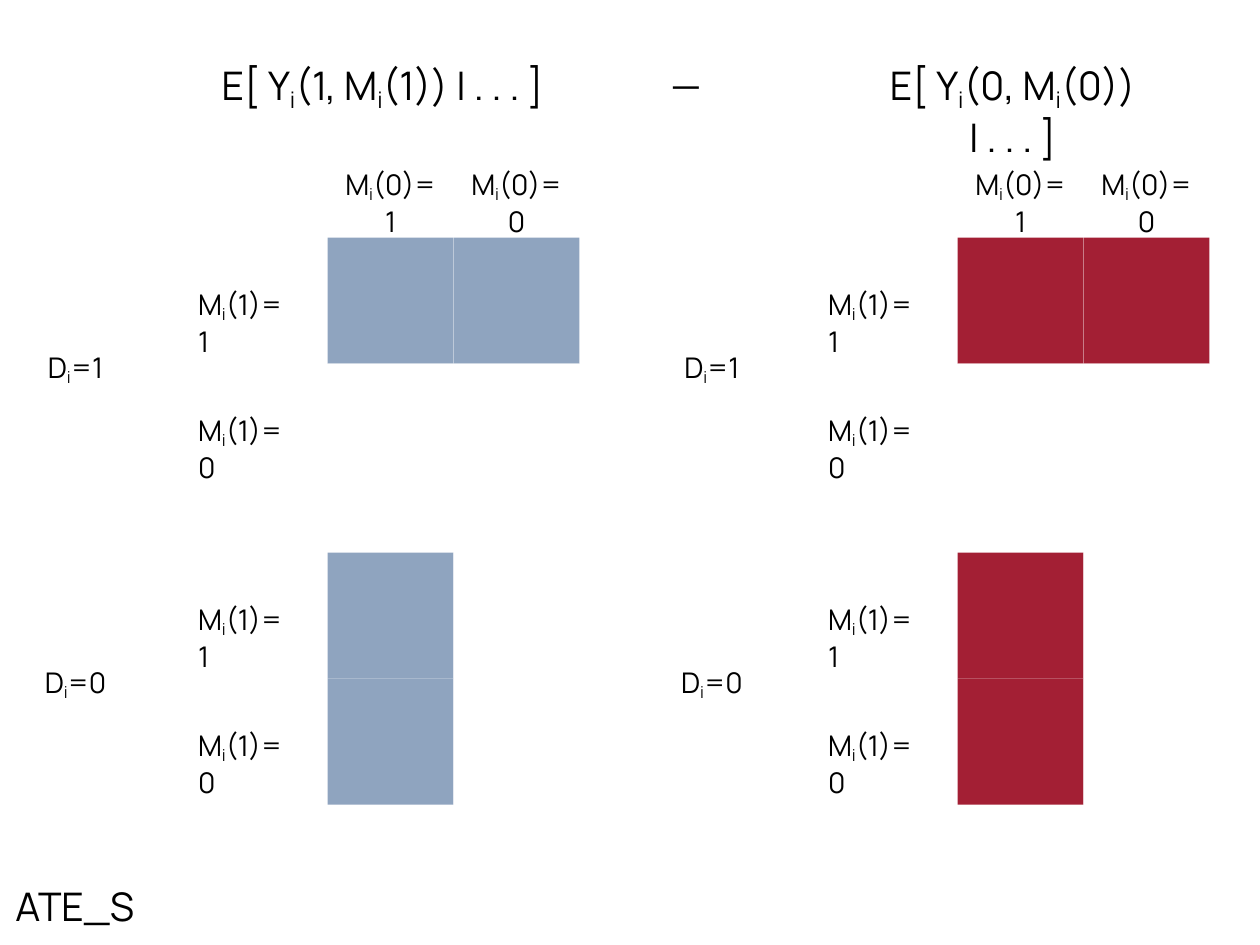
from pptx import Presentation
from pptx.dml.color import RGBColor
from pptx.enum.shapes import MSO_SHAPE as Shape
from pptx.enum.text import MSO_AUTO_SIZE as AutoSize, PP_ALIGN as Align
from pptx.util import Inches, Pt

BLUE = RGBColor(0x8F, 0xA4, 0xBF)
RED = RGBColor(0xA3, 0x1F, 0x34)
WHITE = RGBColor(0xFF, 0xFF, 0xFF)
BLACK = RGBColor(0, 0, 0)

CELL = 0.8
GRID_LEFT = 2.08
GROUP_TOPS = {1: 1.51, 0: 3.51}
SUBSCRIPT = "_i"


class Diagram:
    font_name = "Manrope"
    label_size = 13
    title_size = 18

    def __init__(self, slide):
        self.slide = slide

    def cell(self, left, top, color):
        square = self.slide.shapes.add_shape(
            Shape.RECTANGLE, Inches(left), Inches(top), Inches(CELL), Inches(CELL))
        square.shadow.inherit = False
        square.fill.solid()
        square.fill.fore_color.rgb = color
        square.line.fill.background()

    def text(self, formula, left, top, width, height, size=label_size, align=Align.LEFT):
        box = self.slide.shapes.add_textbox(
            Inches(left), Inches(top), Inches(width), Inches(height))
        frame = box.text_frame
        frame.word_wrap = True
        frame.auto_size = AutoSize.SHAPE_TO_FIT_TEXT
        paragraph = frame.paragraphs[0]
        paragraph.alignment = align
        for position, part in enumerate(formula.split(SUBSCRIPT)):
            if position:
                self.run(paragraph, "i", size, subscript=True)
            self.run(paragraph, part, size)

    def run(self, paragraph, content, size, subscript=False):
        run = paragraph.add_run()
        run.text = content
        run.font.name = self.font_name
        run.font.size = Pt(size)
        run.font.color.rgb = BLACK
        if subscript:
            run._r.get_or_add_rPr().set("baseline", "-20000")

    def panel(self, offset, treatment_left, treatment, color):
        grid_left = GRID_LEFT + offset
        for assigned, group_top in GROUP_TOPS.items():
            for row, treated_mediator in enumerate((1, 0)):
                top = group_top + row * CELL
                for column, control_mediator in enumerate((1, 0)):
                    observed = treated_mediator if assigned else control_mediator
                    self.cell(grid_left + column * CELL, top, color if observed else WHITE)
        for column, mediator in enumerate((1, 0)):
            self.text(f"M_i(0)={mediator}", grid_left + column * CELL, 1.01,
                      CELL, 1.08, align=Align.CENTER)
        for assigned, group_top in GROUP_TOPS.items():
            for row, mediator in enumerate((1, 0)):
                self.text(f"M_i(1)={mediator}", 1.16 + offset,
                          group_top + row * CELL + 0.26, CELL, 1.08)
            self.text(f"D_i={assigned}", treatment_left, group_top + 0.66,
                      CELL, 0.75, align=Align.CENTER)
        self.text(f"E[ Y_i({treatment}, M_i({treatment})) | . . . ]", 1.28 + offset, 0.34,
                  2.3, 0.8, self.title_size, Align.CENTER)


def main():
    presentation = Presentation()
    presentation.slide_width = Inches(8)
    presentation.slide_height = Inches(6)
    diagram = Diagram(presentation.slides.add_slide(presentation.slide_layouts[6]))

    diagram.panel(0, 0.08, 1, BLUE)
    diagram.text("ATE_S", 0, 5.55, 3.9, 0.44, diagram.title_size)
    diagram.panel(4, 4.12, 0, RED)
    diagram.text("—", 4.1, 0.34, 0.51, 0.44, diagram.title_size, Align.CENTER)

    presentation.save("out.pptx")


if __name__ == "__main__":
    main()
